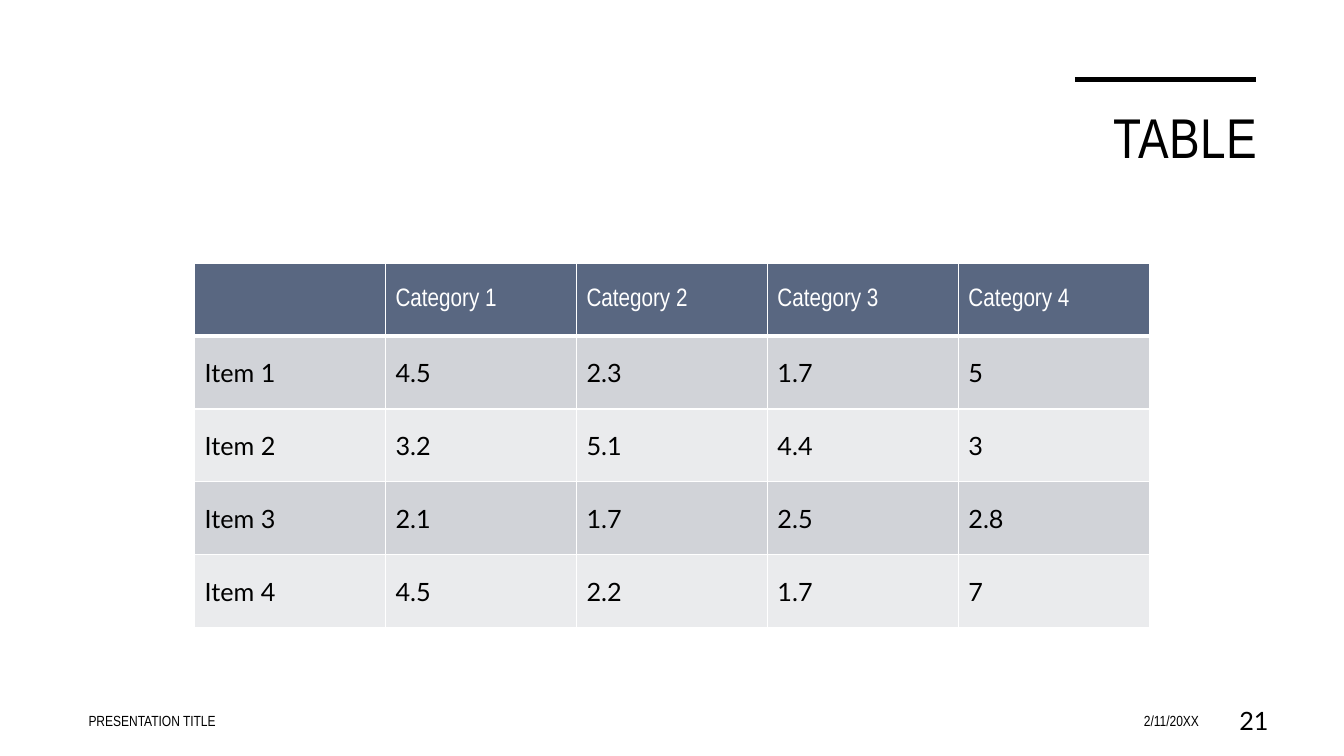
"""Build a slide with a titled table of items by category and a footer."""
from pptx import Presentation
from pptx.dml.color import RGBColor
from pptx.enum.shapes import MSO_CONNECTOR
from pptx.enum.text import MSO_ANCHOR, PP_ALIGN
from pptx.oxml import parse_xml
from pptx.oxml.ns import nsdecls, qn
from pptx.oxml.xmlchemy import OxmlElement
from pptx.util import Inches, Pt

BLACK = RGBColor(0x00, 0x00, 0x00)
WHITE = RGBColor(0xFF, 0xFF, 0xFF)
SLATE = RGBColor(0x59, 0x67, 0x81)
BANDS = (RGBColor(0xEA, 0xEB, 0xED), RGBColor(0xD1, 0xD3, 0xD8))
HEAD_FONT, BODY_FONT = "Arial Narrow", "Lato"
ROWS = [
    ["", "Category 1", "Category 2", "Category 3", "Category 4"],
    ["Item 1", "4.5", "2.3", "1.7", "5"],
    ["Item 2", "3.2", "5.1", "4.4", "3"],
    ["Item 3", "2.1", "1.7", "2.5", "2.8"],
    ["Item 4", "4.5", "2.2", "1.7", "7"],
]


def set_text(tf, text, size, font, color=BLACK, align=PP_ALIGN.LEFT):
    tf.text = text
    p = tf.paragraphs[0]
    p.alignment = align
    p.font.size, p.font.name, p.font.bold = Pt(size), font, False
    p.font.color.rgb = color
    return p


def add_title(s, text):
    sp = s.shapes.title
    sp.left, sp.top = Inches(0.76), Inches(0.97)
    sp.width, sp.height = Inches(11.81), Inches(1.15)
    tf = sp.text_frame
    tf.word_wrap = True
    tf.vertical_anchor = MSO_ANCHOR.TOP
    p = set_text(tf, text, 40, HEAD_FONT, align=PP_ALIGN.RIGHT)
    p._p.pPr.find(qn("a:defRPr")).set("spc", "30")


def add_rule(s):
    y = Inches(0.79)
    line = s.shapes.add_connector(
        MSO_CONNECTOR.STRAIGHT, Inches(10.66), y, Inches(12.46), y)
    line.line.color.rgb = BLACK
    line.line.width = Pt(3.5)
    line._element.spPr.append(OxmlElement("a:effectLst"))


def add_footer(s, text, left, width, size, font, align):
    sp = s.shapes.add_textbox(
        Inches(left), Inches(6.95), Inches(width), Inches(0.4))
    tf = sp.text_frame
    tf.word_wrap = True
    tf.vertical_anchor = MSO_ANCHOR.MIDDLE
    set_text(tf, text, size, font, align=align)


def set_borders(cell, top, bottom):
    tcPr = cell._tc.get_or_add_tcPr()
    for side, width in zip("LRTB", (1, 1, top, bottom)):
        tcPr.append(parse_xml(
            f'<a:ln{side} {nsdecls("a")} w="{Pt(width)}"><a:solidFill>'
            f'<a:srgbClr val="{WHITE}"/></a:solidFill></a:ln{side}>'))


def add_data_table(s):
    tbl = s.shapes.add_table(
        len(ROWS), len(ROWS[0]), Inches(1.93), Inches(2.61),
        Inches(9.47), Inches(3.62)).table
    for i, row in enumerate(ROWS):
        header = i == 0
        for j, text in enumerate(row):
            cell = tbl.cell(i, j)
            cell.vertical_anchor = MSO_ANCHOR.MIDDLE
            set_borders(cell, 3 if i == 1 else 1, 3 if header else 1)
            cell.fill.solid()
            cell.fill.fore_color.rgb = SLATE if header else BANDS[i % 2]
            set_text(cell.text_frame, text, 18,
                     HEAD_FONT if header else BODY_FONT,
                     WHITE if header else BLACK)


def main():
    prs = Presentation()
    prs.slide_width, prs.slide_height = Inches(13.33), Inches(7.5)
    s = prs.slides.add_slide(prs.slide_layouts[5])
    add_rule(s)
    add_title(s, "TABLE")
    add_data_table(s)
    add_footer(s, "PRESENTATION TITLE", 0.78, 4.96, 10.5, HEAD_FONT, PP_ALIGN.LEFT)
    add_footer(s, "2/11/20XX", 9.15, 2.84, 10.5, HEAD_FONT, PP_ALIGN.RIGHT)
    add_footer(s, "21", 11.94, 0.74, 18, BODY_FONT, PP_ALIGN.RIGHT)
    prs.save("out.pptx")


if __name__ == "__main__":
    main()
